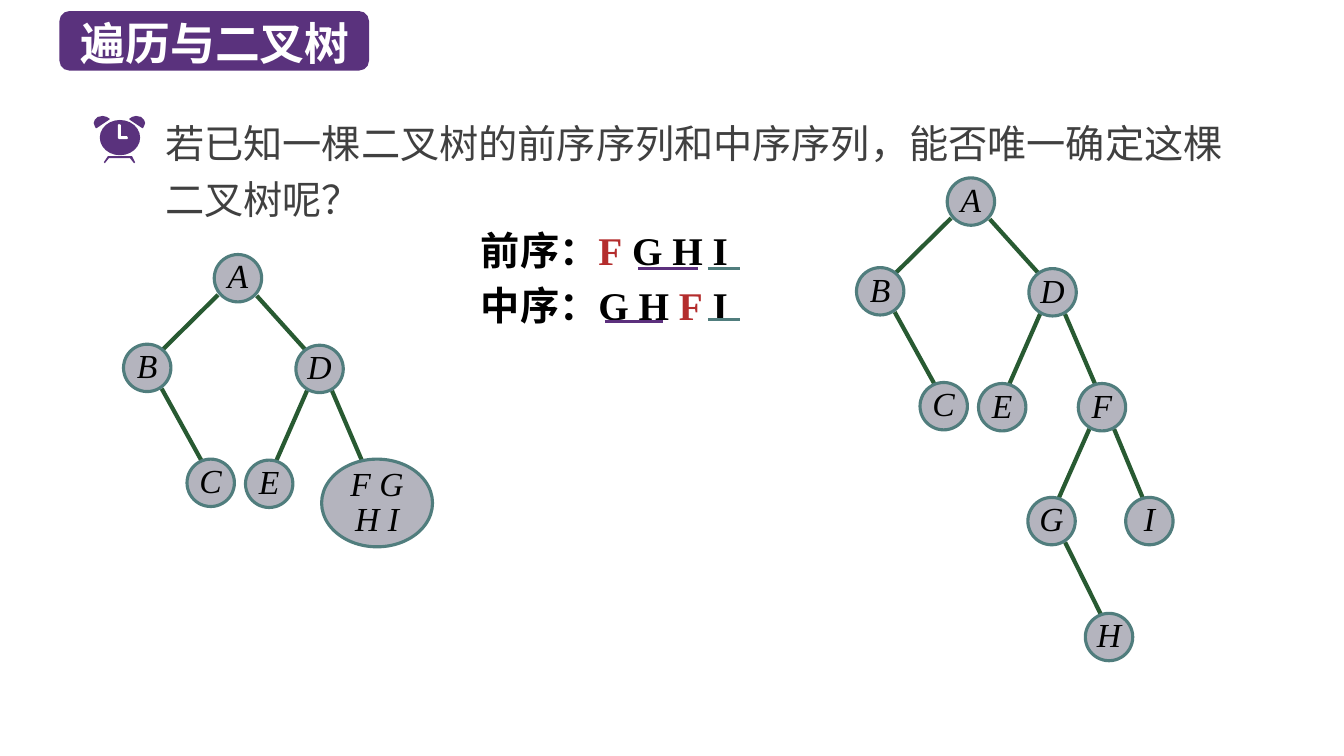
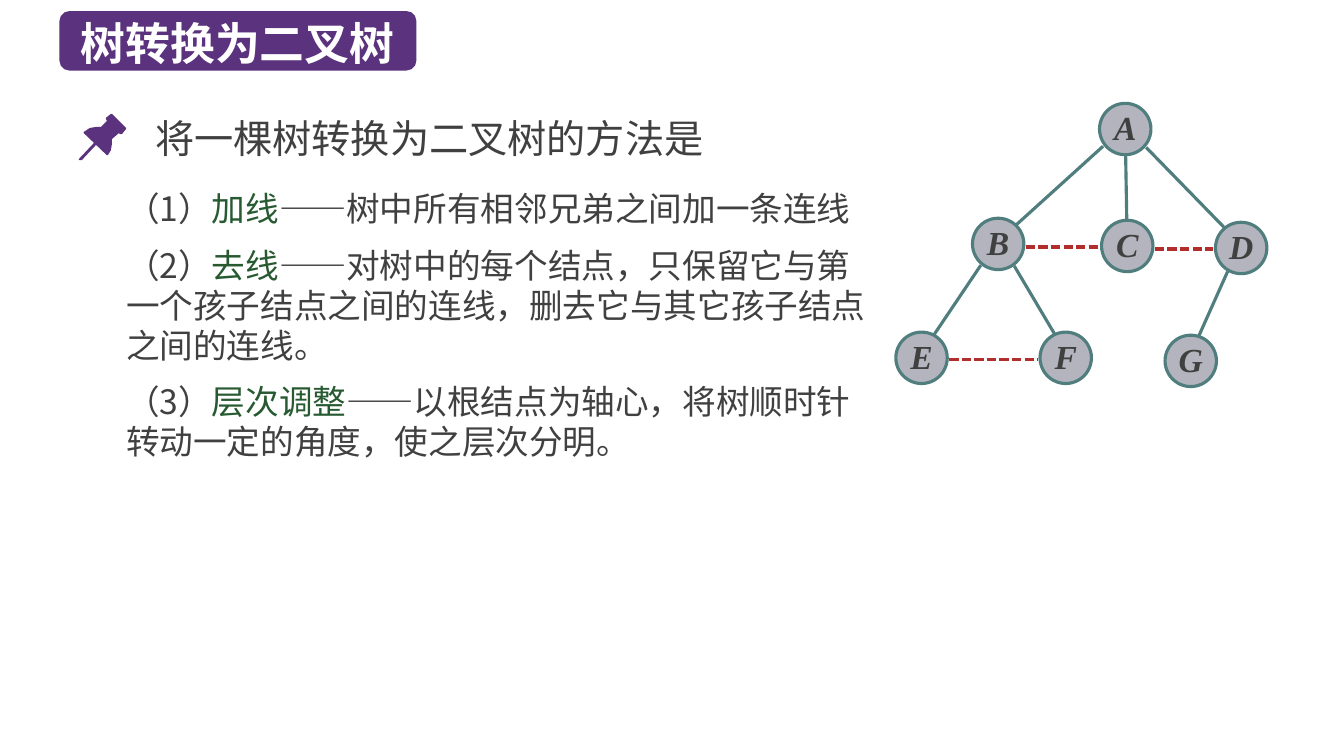
from dataclasses import dataclass, replace
from math import copysign, hypot
from typing import NamedTuple

from lxml.etree import SubElement
from pptx import Presentation
from pptx.dml.color import RGBColor
from pptx.enum.dml import MSO_LINE
from pptx.enum.shapes import MSO_CONNECTOR, MSO_SHAPE
from pptx.enum.text import MSO_ANCHOR, MSO_AUTO_SIZE, PP_ALIGN
from pptx.oxml.ns import qn
from pptx.util import Pt

PX = 9144  # EMU in one px, 100 px to the inch


class Box(NamedTuple):
    left: int
    top: int
    width: int
    height: int

    def emu(self):
        return [round(length * PX) for length in self]


class Node(NamedTuple):
    """A tree node, its centre measured from the root's centre."""
    x: int
    y: int
    label: str
    width: int
    height: int


@dataclass(frozen=True)
class TextStyle:
    face: str
    size: int
    color: str
    line: float
    before: float = 0
    bold: bool = False
    italic: bool = False
    align: PP_ALIGN = PP_ALIGN.LEFT


@dataclass(frozen=True)
class Theme:
    purple: str = "5A327D"
    underline: str = "5C307D"
    teal: str = "507D7D"
    green: str = "285A32"
    red: str = "B42D2D"
    node: str = "B4B4BE"
    white: str = "FFFFFF"
    sans: str = "Noto Sans CJK SC"
    serif: str = "Times New Roman"
    thin: float = 2.25
    thick: float = 3
    title = TextStyle(sans, 32, white, 38.4, bold=True)
    question = TextStyle(sans, 28, "404040", 40)
    heading = TextStyle(sans, 28, "404040", 34)
    steps = TextStyle(sans, 24, "404040", 28.5, before=12)
    sequence = TextStyle(sans, 28, "000000", 34, before=5.6, bold=True)
    plain_node = TextStyle(serif, 24, "000000", 25, italic=True, align=PP_ALIGN.CENTER)
    bold_node = TextStyle(serif, 24, "404040", 26, bold=True, italic=True,
                          align=PP_ALIGN.CENTER)


THEME = Theme()


def assign(target, values):
    for name, value in values.items():
        setattr(target, name, value)


def write(frame, paragraphs, style, anchor=MSO_ANCHOR.TOP, wrap=True):
    """Fill a frame; each paragraph is a list of (text, style changes) spans."""
    assign(frame, {"margin_left": 0, "margin_top": 0, "margin_right": 0,
                   "margin_bottom": 0, "word_wrap": wrap,
                   "vertical_anchor": anchor, "auto_size": MSO_AUTO_SIZE.NONE})
    for index, spans in enumerate(paragraphs):
        para = frame.add_paragraph() if index else frame.paragraphs[0]
        properties = para._p.get_or_add_pPr()
        properties.set("marL", "0")
        properties.set("indent", "0")
        SubElement(properties, qn("a:buNone"))
        assign(para, {"alignment": style.align, "line_spacing": Pt(style.line),
                      "space_before": Pt(style.before if index else 0)})
        for text, changes in spans:
            look = replace(style, **changes)
            span = para.add_run()
            span.text = text
            assign(span.font, {"size": Pt(look.size), "bold": look.bold,
                               "italic": look.italic, "name": look.face})
            span.font.color.rgb = RGBColor.from_string(look.color)
            SubElement(span._r.get_or_add_rPr(), qn("a:ea"), typeface=look.face)


def fill_placeholder(holder, box, paragraphs, style):
    assign(holder, dict(zip(("left", "top", "width", "height"), box.emu())))
    write(holder.text_frame, paragraphs, style)


def add_text(page, box, paragraphs, style):
    write(page.shapes.add_textbox(*box.emu()).text_frame, paragraphs, style)


def paint(shape, color, line=None):
    shape.shadow.inherit = False
    shape.fill.solid()
    shape.fill.fore_color.rgb = RGBColor.from_string(color)
    if line:
        shape.line.color.rgb = RGBColor.from_string(line)
        shape.line.width = Pt(THEME.thin)
    else:
        shape.line.fill.background()
    return shape


def add_preset(page, kind, box, color, line=None):
    return paint(page.shapes.add_shape(kind, *box.emu()), color, line)


def add_outline(page, box, points, color):
    """Draw a closed outline whose points are measured from the box corner."""
    start, *rest = [(box.left + x, box.top + y) for x, y in points]
    builder = page.shapes.build_freeform(*start, scale=PX)
    builder.add_line_segments(rest, close=True)
    paint(builder.convert_to_shape(), color)


def add_line(page, ends, color, width, dash=None):
    line = page.shapes.add_connector(
        MSO_CONNECTOR.STRAIGHT, *(round(value * PX) for value in ends))
    line.line.color.rgb = RGBColor.from_string(color)
    assign(line.line, {"width": Pt(width), "dash_style": dash})
    SubElement(line._element.spPr, qn("a:effectLst"))


def add_clock(page, box):
    ear = [(9, 0), (4, 1), (1, 4), (0, 7), (1, 10), (2, 12), (3, 12),
           (15, 4), (16, 3), (13, 1)]
    stand = [(10, 46), (14, 40), (38, 40), (41, 46), (40, 47), (36, 42),
             (15, 42), (11, 47)]
    hands = [(24, 9), (25, 8), (27, 9), (27, 20), (33, 20), (34, 22),
             (33, 23), (25, 23), (24, 22)]
    mirrored = [(box.width - x, y) for x, y in ear]
    for points in (ear, mirrored, stand):
        add_outline(page, box, points, THEME.purple)
    face = Box(box.left + 6, box.top + 4, 40, 35)
    add_preset(page, MSO_SHAPE.OVAL, face, THEME.purple)
    add_outline(page, box, hands, THEME.white)


def add_pin(page, box):
    head = [(47, 15), (33, 1), (32, 1), (27, 5), (27, 6), (28, 8), (22, 14),
            (17, 14), (11, 15), (5, 19), (5, 20), (28, 42), (29, 42), (32, 37),
            (33, 31), (33, 26), (40, 20), (41, 21), (43, 21), (47, 16)]
    needle = [(1, 47), (0, 46), (16, 29), (18, 29), (18, 31), (3, 47)]
    for points in (head, needle):
        add_outline(page, box, points, THEME.purple)


def add_edge(page, root, parent, child, color, width):
    """Join two node rims, leaning slightly to the child's side."""
    dx, dy = child.x - parent.x, child.y - parent.y
    lean = copysign(3, dx) if abs(dx) > 10 else 0

    def rim(node, sign):
        reach = sign / hypot(2 * dx / node.width, 2 * dy / node.height)
        return [root[0] + node.x + dx * reach + lean,
                root[1] + node.y + dy * reach]

    add_line(page, rim(parent, 1) + rim(child, -1), color, width)


def add_tree(page, root, nodes, edges, style, edge_color, edge_width):
    """Draw nodes around a root centre; edges are parent-child letter pairs."""
    for parent, child in edges.split():
        add_edge(page, root, nodes[parent], nodes[child], edge_color, edge_width)
    for node in nodes.values():
        box = Box(root[0] + node.x - node.width / 2,
                  root[1] + node.y - node.height / 2, node.width, node.height)
        circle = add_preset(page, MSO_SHAPE.OVAL, box, THEME.node, THEME.teal)
        lines = [[(text, {})] for text in node.label.split("\n")]
        write(circle.text_frame, lines, style, MSO_ANCHOR.MIDDLE, wrap=False)


def circles(size, **centres):
    return {name: Node(x, y, name, size, size) for name, (x, y) in centres.items()}


def add_sibling_lines(page, root, nodes, pairs):
    for first, second in ((nodes[a], nodes[b]) for a, b in pairs.split()):
        level = root[1] + (first.y + second.y) / 2 + 2
        start = root[0] + first.x + first.width / 2 + 2
        end = root[0] + second.x - second.width / 2 - 2
        add_line(page, (start, level, end, level), THEME.red, THEME.thin,
                 MSO_LINE.SQUARE_DOT)


def add_sequences(page, box):
    serif = {"face": THEME.serif}
    root = {**serif, "color": THEME.red}
    add_text(page, box, [
        [("前序：", {}), ("F", root), (" G H I", serif)],
        [("中序：", {}), ("G H ", serif), ("F", root), (" I", serif)],
    ], THEME.sequence)
    for left, width, top, color in ((156, 59, 42, THEME.underline),
                                    (225, 32, 42, THEME.teal),
                                    (123, 58, 95, THEME.underline),
                                    (225, 32, 93, THEME.teal)):
        x, y = box.left + left, box.top + top
        add_line(page, (x, y, x + width, y), color, THEME.thin)


def add_page(deck, title):
    """Start a page with its title on a band as wide as the text needs."""
    page = deck.slides.add_slide(deck.slide_layouts[1])
    width = 25 + 47 * len(title)
    band = add_preset(page, MSO_SHAPE.ROUNDED_RECTANGLE,
                      Box(59, 11, width, 59), THEME.purple)
    page.shapes._spTree.insert(2, band._element)
    fill_placeholder(page.shapes.title, Box(80, 16, width, 54),
                     [[(title, {})]], THEME.title)
    return page


def build_traversal_page(deck):
    page = add_page(deck, "遍历与二叉树")
    fill_placeholder(
        page.placeholders[1], Box(164, 109, 1066, 112),
        [[("若已知一棵二叉树的前序序列和中序序列，能否唯一确定这棵二叉树呢？", {})]],
        THEME.question)
    add_clock(page, Box(93, 115, 51, 47))
    add_sequences(page, Box(477, 224, 455, 103))
    upper = circles(47, A=(0, 0), B=(-90, 89), C=(-27, 203), D=(81, 90), E=(31, 204))
    lower = circles(47, F=(130, 204), G=(80, 317), I=(177, 317), H=(137, 432))
    cluster = {"F": Node(138, 223, "F G\nH I", 110, 87)}
    upper_edges = "AB AD BC DE DF"
    look = (THEME.plain_node, THEME.green, THEME.thick)
    add_tree(page, (236, 276), upper | cluster, upper_edges, *look)
    add_tree(page, (963, 200), upper | lower, upper_edges + " FG FI GH", *look)


def build_conversion_page(deck):
    page = add_page(deck, "树转换为二叉树")
    steps = (
        ("加线", "——树中所有相邻兄弟之间加一条连线"),
        ("去线", "——对树中的每个结点，只保留它与第一个孩子结点之间的连线，"
                 "删去它与其它孩子结点之间的连线。"),
        ("层次调整", "——以根结点为轴心，将树顺时针转动一定的角度，使之层次分明。"),
    )
    paragraphs = [[(f"（{number}）", {}), (name, {"color": THEME.green}), (detail, {})]
                  for number, (name, detail) in enumerate(steps, 1)]
    fill_placeholder(page.placeholders[1], Box(125, 187, 749, 284),
                     paragraphs, THEME.steps)
    add_pin(page, Box(78, 112, 47, 47))
    add_text(page, Box(154, 113, 560, 48),
             [[("将一棵树转换为二叉树的方法是", {})]], THEME.heading)
    root = (1116, 128)
    nodes = circles(51, A=(0, 0), B=(-126, 114), C=(2, 116), D=(115, 118),
                    E=(-202, 227), F=(-59, 227), G=(65, 230))
    add_tree(page, root, nodes, "AB AC AD BE BF DG",
             THEME.bold_node, THEME.teal, THEME.thin)
    add_sibling_lines(page, root, nodes, "BC CD EF")


def main():
    deck = Presentation()
    deck.slide_width, deck.slide_height = 1333 * PX, 750 * PX
    build_traversal_page(deck)
    build_conversion_page(deck)
    deck.save("out.pptx")


if __name__ == "__main__":
    main()
